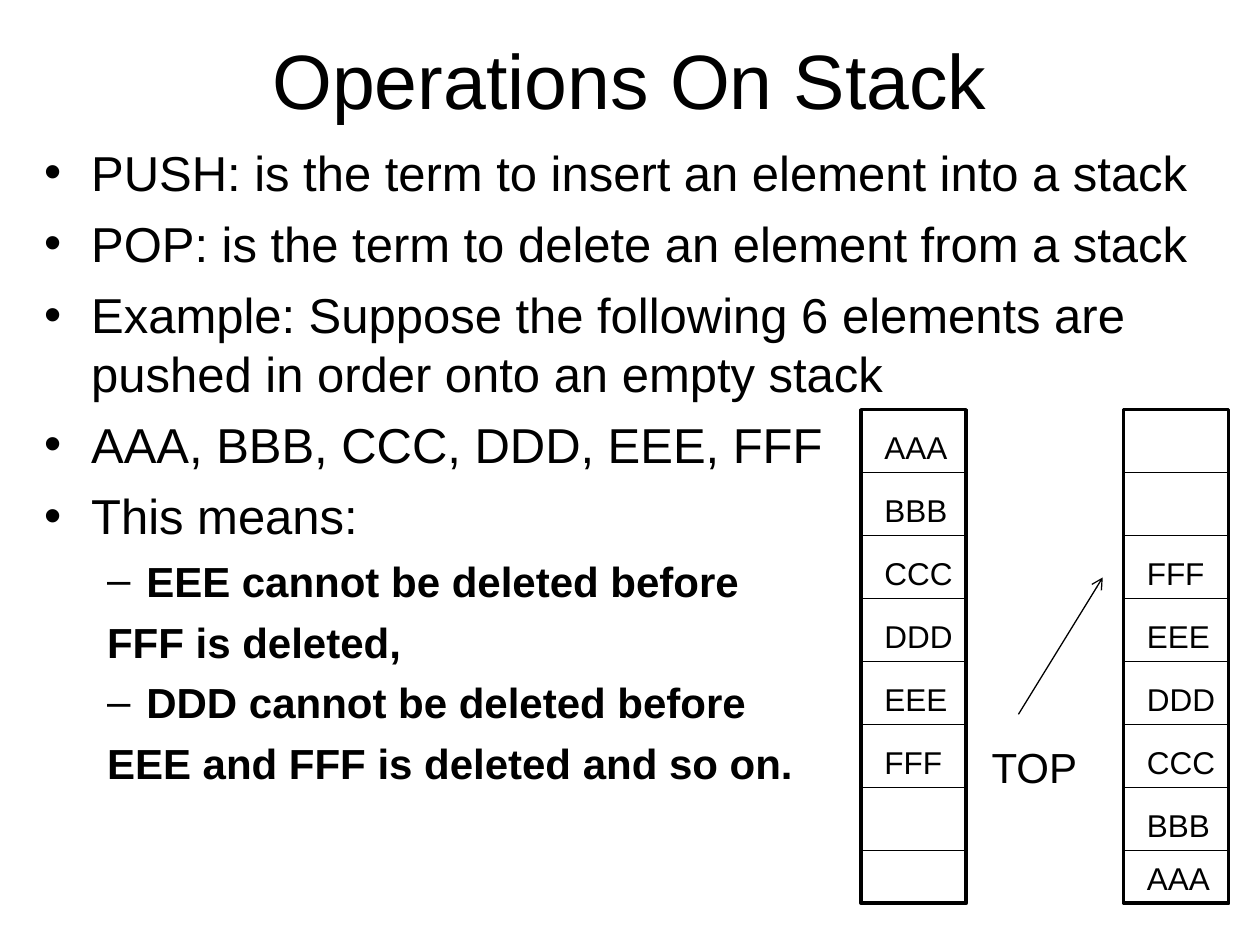
from lxml.etree import SubElement
from pptx import Presentation
from pptx.dml.color import RGBColor
from pptx.enum.shapes import MSO_CONNECTOR as Conn, MSO_SHAPE as Shape
from pptx.enum.text import MSO_ANCHOR as Anchor, MSO_AUTO_SIZE as AutoSize, PP_ALIGN as Align
from pptx.oxml.ns import qn
from pptx.util import Cm, Pt

COLORS = {"ink": "000000", "paper": "FFFFFF"}
FONT = "Arial"
STACK_TOP, STACK_W, STACK_H = 8.26, 2.12, 9.95
ROW_H, ROWS = 1.27, 8
LABEL_W, LABEL_H = 1.91, 1.02

# text, level, bullet
BODY = [
    ("PUSH: is the term to insert an element into a stack", 0, "•"),
    ("POP: is the term to delete an element from a stack", 0, "•"),
    ("Example: Suppose the following 6 elements are pushed in order onto an empty stack", 0, "•"),
    ("AAA, BBB, CCC, DDD, EEE, FFF", 0, "•"),
    ("This means:", 0, "•"),
    ("EEE cannot be deleted before", 1, "–"),
    ("FFF is deleted,", 1, None),
    ("DDD cannot be deleted before", 1, "–"),
    ("EEE and FFF is deleted and so on.", 1, None),
]
# per level: size, bold, space before, left margin, hanging indent
LEVELS = [(28, False, 7, 0.95, 0.95), (24, True, 6, 2.06, 0.79)]
ELEMENTS = ["AAA", "BBB", "CCC", "DDD", "EEE", "FFF"]


def rgb(name):
    return RGBColor.from_string(COLORS[name])


def style_runs(p, size, bold=False):
    for r in p.runs:
        r.font.name, r.font.size, r.font.bold = FONT, Pt(size), bold
        r.font.color.rgb = rgb("ink")


def add_text(s, text, x, y, w, h, size, wrap=True):
    tf = s.shapes.add_textbox(Cm(x), Cm(y), Cm(w), Cm(h)).text_frame
    tf.word_wrap = wrap
    tf.text = text
    style_runs(tf.paragraphs[0], size)
    return tf


def add_line(s, x1, y1, x2, y2):
    line = s.shapes.add_connector(Conn.STRAIGHT, Cm(x1), Cm(y1), Cm(x2), Cm(y2))
    line.line.color.rgb = rgb("ink")
    line.line.width = Pt(0.75)
    SubElement(line._element.spPr, qn("a:effectLst"))
    return line


def add_arrow(s, *ends):
    ln = add_line(s, *ends).line._get_or_add_ln()
    SubElement(ln, qn("a:tailEnd"), type="arrow")


def set_bullet(p, char, margin, hanging):
    pPr = p._p.get_or_add_pPr()
    pPr.set("marL", str(Cm(margin)))
    pPr.set("indent", str(-Cm(hanging)))
    if char is None:
        SubElement(pPr, qn("a:buNone"))
        return
    SubElement(SubElement(pPr, qn("a:buClr")), qn("a:srgbClr"), val=COLORS["ink"])
    SubElement(pPr, qn("a:buFont"), typeface=FONT)
    SubElement(pPr, qn("a:buChar"), char=char)


def add_body(s):
    tf = s.shapes.add_textbox(Cm(0.64), Cm(2.75), Cm(24.13), Cm(15.45)).text_frame
    tf.word_wrap = True
    tf.text = "\n".join(text for text, _, _ in BODY)
    for p, (_, level, char) in zip(tf.paragraphs, BODY):
        size, bold, before, margin, hanging = LEVELS[level]
        p.level = level
        p.space_before = Pt(before)
        set_bullet(p, char, margin, hanging)
        style_runs(p, size, bold)


def add_stack(s, x, labels, first_row):
    """Draw a column of cells, with labels downwards from first_row."""
    sp = s.shapes.add_shape(Shape.RECTANGLE, Cm(x), Cm(STACK_TOP), Cm(STACK_W), Cm(STACK_H))
    sp.shadow.inherit = False
    sp.fill.solid()
    sp.fill.fore_color.rgb = rgb("paper")
    sp.line.color.rgb = rgb("ink")
    sp.line.width = Pt(2)
    for row in range(1, ROWS):
        y = STACK_TOP + row * ROW_H
        add_line(s, x, y, x + STACK_W, y)
    # The last cell is shorter, so its label stays inside the column.
    lowest = STACK_TOP + STACK_H - LABEL_H
    for row, label in enumerate(labels, first_row):
        y = min(STACK_TOP + row * ROW_H + 0.25, lowest)
        tf = add_text(s, label, x + 0.22, y, LABEL_W, LABEL_H, 18)
        tf.auto_size = AutoSize.SHAPE_TO_FIT_TEXT


def main():
    prs = Presentation()
    prs.slide_width, prs.slide_height = Cm(25.4), Cm(19.05)
    s = prs.slides.add_slide(prs.slide_layouts[6])

    title = add_text(s, "Operations On Stack", 1.27, 0, 22.86, 3.18, 44)
    title.vertical_anchor = Anchor.MIDDLE
    title.paragraphs[0].alignment = Align.CENTER

    add_body(s)
    add_stack(s, 17.36, ELEMENTS, 0)
    add_stack(s, 22.65, ELEMENTS[::-1], 2)

    top = add_text(s, "TOP", 19.74, 14.82, 2.23, 1.27, 24, wrap=False)
    top.auto_size = AutoSize.SHAPE_TO_FIT_TEXT
    add_arrow(s, 20.53, 14.4, 22.23, 11.64)
    prs.save("out.pptx")


if __name__ == "__main__":
    main()
